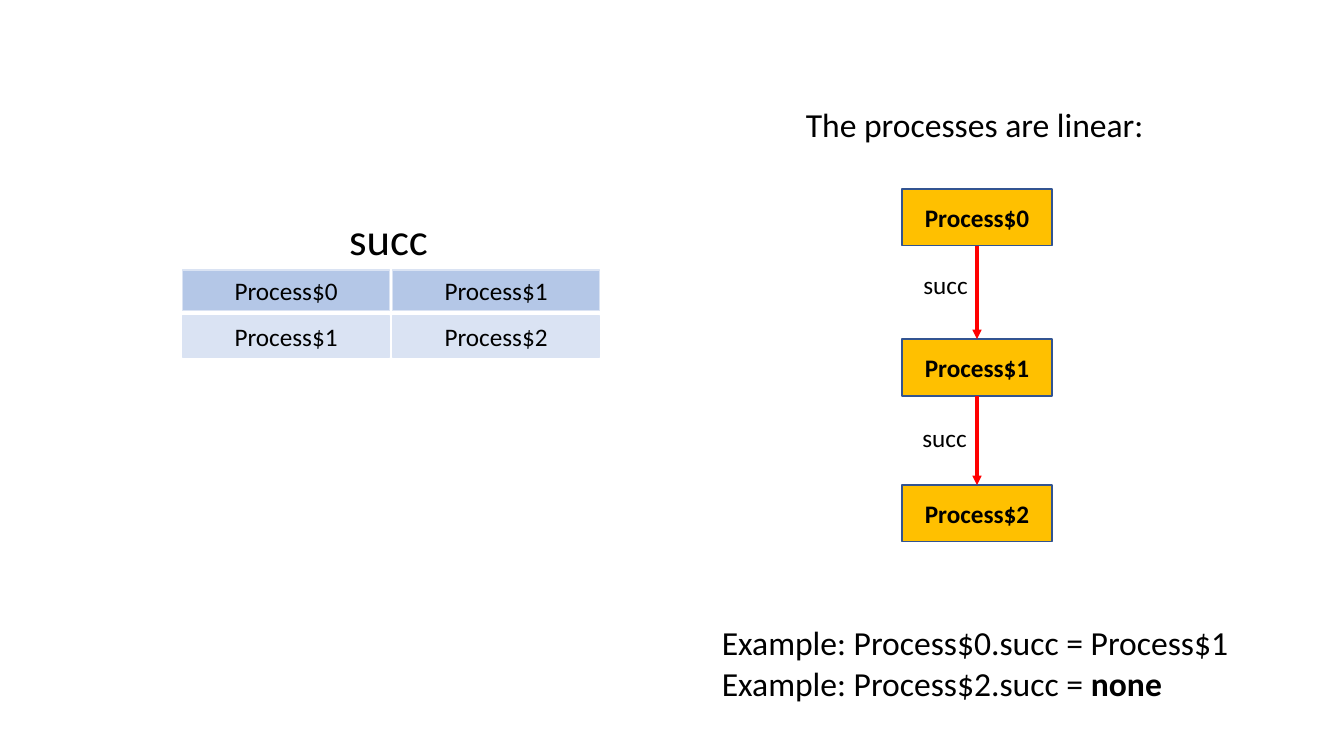
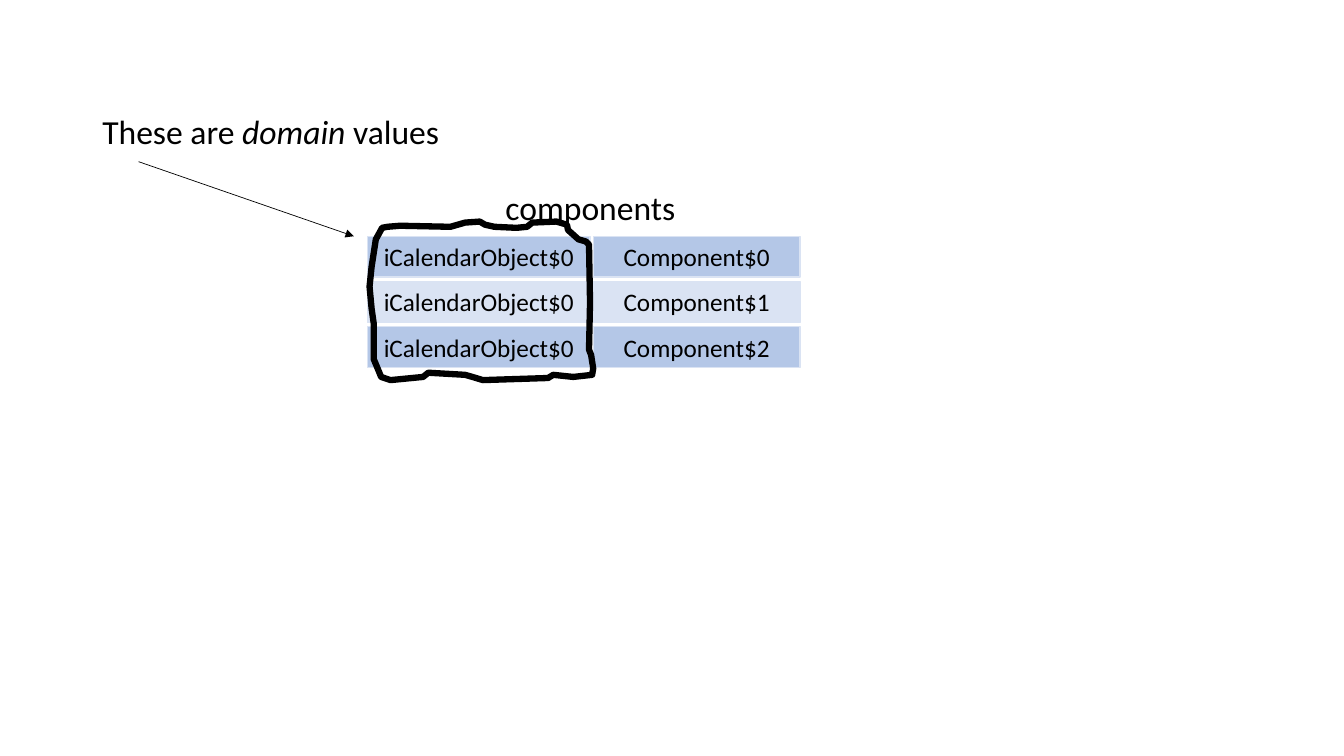
"""Build two slides that explain relations as tables of values."""
from lxml import etree
from pptx import Presentation
from pptx import util as u
from pptx.dml.color import RGBColor
from pptx.enum import shapes, text
from pptx.oxml.ns import qn

PX = 9525
FONT = "Calibri"
COLORS = {
    "text": "000000",
    "node": "FFC000",
    "node_line": "325491",
    "arrow": "FF0000",
    "row_dark": "B4C7E7",
    "row_light": "DAE3F3",
}
CELL_GAP = 3
CELL_HEIGHT = 39
NODE_LEFT, NODE_WIDTH, NODE_HEIGHT = 859, 143, 54
OUTLINE = [
    (471, 216), (462, 214), (457, 211), (443, 212), (429, 216), (381, 215),
    (369, 216), (364, 217), (358, 228), (354, 254), (352, 273), (354, 294),
    (356, 308), (356, 342), (361, 354), (363, 359), (372, 362), (403, 359),
    (408, 355), (443, 357), (450, 359), (460, 362), (522, 360), (527, 357),
    (546, 359), (564, 357), (565, 351), (563, 338), (561, 333), (562, 288),
    (561, 233), (558, 230), (551, 228), (541, 219), (540, 214), (530, 211),
    (507, 212), (502, 216), (492, 217),
]


def px(*lengths):
    """Turn pixel lengths into EMU."""
    return [u.Emu(length * PX) for length in lengths]


def color(name):
    """Look up a named colour."""
    return RGBColor.from_string(COLORS[name])


def set_line(shape, name, points):
    """Set the colour and width of a line."""
    shape.line.color.rgb = color(name)
    shape.line.width = u.Pt(points)


def add_run(paragraph, words, size, bold=False, italic=False):
    """Append one formatted run."""
    run = paragraph.add_run()
    run.text = words
    run.font.name = FONT
    run.font.size = u.Pt(size)
    run.font.bold = bold
    run.font.italic = italic
    run.font.color.rgb = color("text")


def add_label(slide, box, paragraphs, size):
    """Add a text box; each paragraph is a list of (words, style) runs."""
    frame = slide.shapes.add_textbox(*px(*box)).text_frame
    frame.word_wrap = True
    for index, runs in enumerate(paragraphs):
        paragraph = frame.add_paragraph() if index else frame.paragraphs[0]
        for words, style in runs:
            add_run(paragraph, words, size, **style)


def add_box(slide, box, words, fill, line, bold=False):
    """Add a filled rectangle with centred text."""
    shape = slide.shapes.add_shape(shapes.MSO_SHAPE.RECTANGLE, *px(*box))
    shape.shadow.inherit = False
    shape.fill.solid()
    shape.fill.fore_color.rgb = color(fill)
    set_line(shape, line, 1)
    shape.text_frame.vertical_anchor = text.MSO_ANCHOR.MIDDLE
    paragraph = shape.text_frame.paragraphs[0]
    paragraph.alignment = text.PP_ALIGN.CENTER
    add_run(paragraph, words, 18, bold=bold)
    return shape


def add_arrow(slide, ends, name, points):
    """Add a straight arrow between two points."""
    arrow = slide.shapes.add_connector(shapes.MSO_CONNECTOR.STRAIGHT, *px(*ends))
    set_line(arrow, name, points)
    etree.SubElement(arrow.line._get_or_add_ln(), qn("a:tailEnd"), type="triangle")
    etree.SubElement(arrow._element.spPr, qn("a:effectLst"))
    return arrow


def add_relation(slide, left, top, widths, pitch, rows):
    """Add rows of separate cells in alternating shades."""
    for index, row in enumerate(rows):
        fill = ("row_dark", "row_light")[index % 2]
        cell_left = left
        for width, words in zip(widths, row):
            box = (cell_left, top + index * pitch, width, CELL_HEIGHT)
            add_box(slide, box, words, fill, "row_light")
            cell_left += width + CELL_GAP


def add_chain(slide, tops):
    """Add process boxes from top to bottom, joined by arrows."""
    nodes = [
        add_box(slide, (NODE_LEFT, top, NODE_WIDTH, NODE_HEIGHT),
                f"Process${index}", "node", "node_line", bold=True)
        for index, top in enumerate(tops)
    ]
    for upper, lower in zip(nodes, nodes[1:]):
        arrow = add_arrow(slide, (0, 0, 0, 0), "arrow", 2.25)
        arrow.begin_connect(upper, 2)
        arrow.end_connect(lower, 0)


def add_outline(slide, points):
    """Add a closed hand-drawn outline without a fill."""
    builder = slide.shapes.build_freeform(*points[0], scale=PX)
    builder.add_line_segments(points[1:], close=True)
    outline = builder.convert_to_shape()
    outline.shadow.inherit = False
    outline.fill.background()
    set_line(outline, "text", 4.5)


def build_processes(slide):
    """Show the succ relation and the chain of processes."""
    add_chain(slide, (180, 323, 462))
    add_label(slide, (323, 196, 104, 61), [[("succ", {})]], 32)
    for left, top in ((870, 252), (869, 397)):
        add_label(slide, (left, top, 66, 38), [[("succ", {})]], 18)
    add_label(slide, (758, 94, 352, 48), [[("The processes are linear:", {})]], 24)
    add_relation(slide, 174, 257, (197, 197), 44,
                 [("Process$0", "Process$1"), ("Process$1", "Process$2")])
    add_label(slide, (678, 588, 512, 87), [
        [("Example: Process$0.succ = Process$1", {})],
        [("Example: Process$2.succ = ", {}), ("none", {"bold": True})],
    ], 24)


def build_domain(slide):
    """Show the components relation with its domain column circled."""
    add_label(slide, (472, 173, 188, 48), [[("components", {})]], 24)
    add_relation(slide, 350, 225, (212, 197), 43,
                 [("iCalendarObject$0", f"Component${index}") for index in range(3)])
    add_outline(slide, OUTLINE)
    add_label(slide, (88, 101, 350, 48), [
        [("These are ", {}), ("domain", {"italic": True}), (" values", {})],
    ], 24)
    add_arrow(slide, (132, 154, 337, 225), "text", 0.5)


def main():
    """Build and save the presentation."""
    presentation = Presentation()
    presentation.slide_width, presentation.slide_height = px(1280, 720)
    blank = presentation.slide_layouts[6]
    for build in (build_processes, build_domain):
        build(presentation.slides.add_slide(blank))
    presentation.save("out.pptx")


if __name__ == "__main__":
    main()
